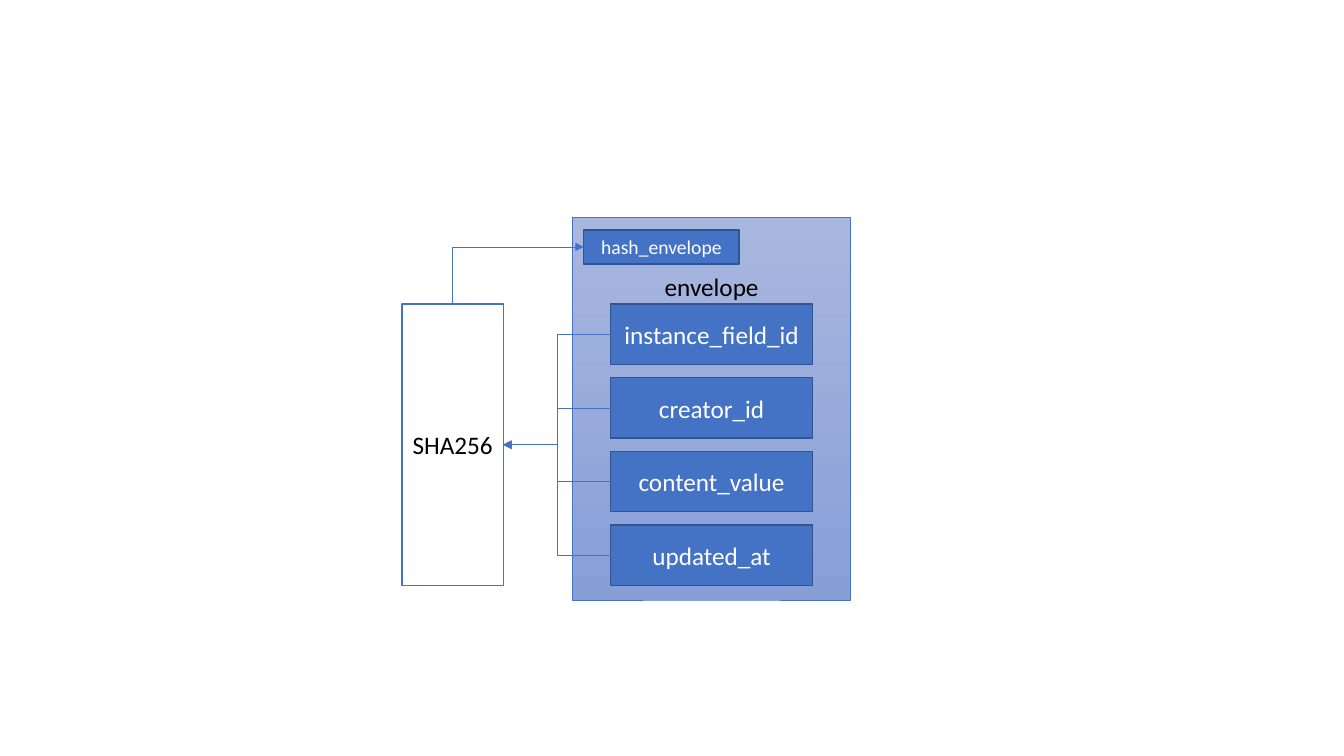
"""Build a slide showing how an envelope's fields are hashed with SHA256."""
from dataclasses import dataclass

from lxml import etree
from pptx import Presentation
from pptx.dml.color import RGBColor
from pptx.enum.shapes import MSO_CONNECTOR, MSO_SHAPE
from pptx.enum.text import MSO_ANCHOR, PP_ALIGN
from pptx.oxml.ns import qn
from pptx.util import Pt


@dataclass(frozen=True)
class Theme:
    """Colours, type sizes and line widths of the slide."""
    font: str = "Calibri"
    blue: RGBColor = RGBColor(0x44, 0x72, 0xC4)
    edge: RGBColor = RGBColor(0x32, 0x54, 0x91)
    pale_top: RGBColor = RGBColor(0xA8, 0xB7, 0xDF)
    pale_bottom: RGBColor = RGBColor(0x88, 0x9E, 0xD7)
    white: RGBColor = RGBColor(0xFF, 0xFF, 0xFF)
    black: RGBColor = RGBColor(0, 0, 0)
    body: int = 18
    small: int = 14
    thin: float = 0.5
    thick: float = 1


THEME = Theme()
TOP, LEFT = 0, 1
RIGHT = 3
FIELDS = ["instance_field_id", "creator_id", "content_value", "updated_at"]
FIELD_LEFT, FIELD_TOP = 436.3, 217.2
FIELD_W, FIELD_H = 144, 43.2
FIELD_PITCH = 52.6
STACK_H = FIELD_PITCH * (len(FIELDS) - 1) + FIELD_H


def add_box(slide, text, box, fill=THEME.blue, edge=THEME.edge,
            color=THEME.white, size=THEME.body, width=THEME.thick):
    """Add a filled rectangle with one centred line of text."""
    sp = slide.shapes.add_shape(MSO_SHAPE.RECTANGLE, *map(Pt, box))
    sp.shadow.inherit = False
    sp.fill.solid()
    sp.fill.fore_color.rgb = fill
    sp.line.color.rgb = edge
    sp.line.width = Pt(width)
    tf = sp.text_frame
    tf.vertical_anchor = MSO_ANCHOR.MIDDLE
    p = tf.paragraphs[0]
    p.alignment = PP_ALIGN.CENTER
    r = p.add_run()
    r.text = text
    r.font.name = THEME.font
    r.font.size = Pt(size)
    r.font.color.rgb = color
    return sp


def add_envelope(slide):
    """Add the gradient container with its title near the top."""
    sp = add_box(slide, "envelope", (409, 155.6, 198.7, 273),
                 edge=THEME.blue, color=THEME.black, width=THEME.thin)
    sp.fill.gradient()
    sp.fill.gradient_angle = 270
    for stop, color in zip(sp.fill.gradient_stops,
                           (THEME.pale_top, THEME.pale_bottom)):
        stop.color.rgb = color
    sp.text_frame.vertical_anchor = MSO_ANCHOR.TOP
    sp.text_frame.margin_top = Pt(38)


def add_arrow(slide, start, start_site, end, end_site):
    """Add an elbow arrow glued to two shapes."""
    cxn = slide.shapes.add_connector(MSO_CONNECTOR.ELBOW, 0, 0, 0, 0)
    cxn.begin_connect(start, start_site)
    cxn.end_connect(end, end_site)
    cxn.line.color.rgb = THEME.blue
    cxn.line.width = Pt(THEME.thin)
    etree.SubElement(cxn.line._get_or_add_ln(), qn("a:tailEnd"),
                     type="triangle")
    etree.SubElement(cxn._element.spPr, qn("a:effectLst"))
    return cxn


def turn_upward(cxn):
    """Make an elbow rise first, then run right, with a single bend."""
    x, y, w, h = cxn.left, cxn.top, cxn.width, cxn.height
    cxn.left, cxn.top = x + (w - h) // 2, y + (h - w) // 2
    cxn.width, cxn.height = h, w
    sp_pr = cxn._element.spPr
    sp_pr.find(qn("a:prstGeom")).set("prst", "bentConnector2")
    xfrm = sp_pr.find(qn("a:xfrm"))
    for name, value in (("rot", "5400000"), ("flipH", "1"), ("flipV", "1")):
        xfrm.set(name, value)


def main():
    """Build and save the slide."""
    prs = Presentation()
    prs.slide_width, prs.slide_height = Pt(960), Pt(540)
    slide = prs.slides.add_slide(prs.slide_layouts[6])

    add_envelope(slide)
    fields = [
        add_box(slide, name,
                (FIELD_LEFT, FIELD_TOP + i * FIELD_PITCH, FIELD_W, FIELD_H))
        for i, name in enumerate(FIELDS)
    ]
    sha = add_box(slide, "SHA256", (287.2, FIELD_TOP, 72.3, STACK_H),
                  fill=THEME.white, edge=THEME.blue, color=THEME.black)
    hash_box = add_box(slide, "hash_envelope", (417, 164.2, 111, 24.4),
                       size=THEME.small)

    for field in fields:
        add_arrow(slide, field, LEFT, sha, RIGHT)
    turn_upward(add_arrow(slide, sha, TOP, hash_box, LEFT))

    prs.save("out.pptx")


main()
